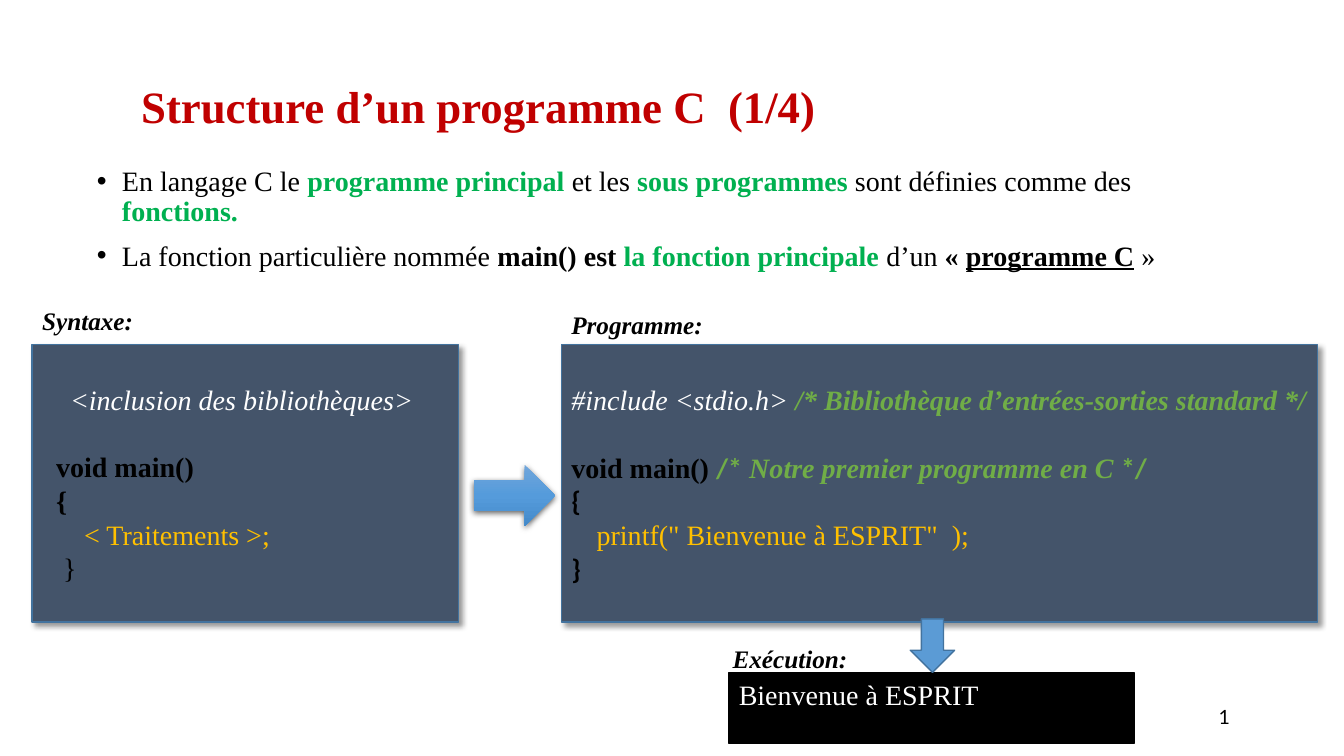
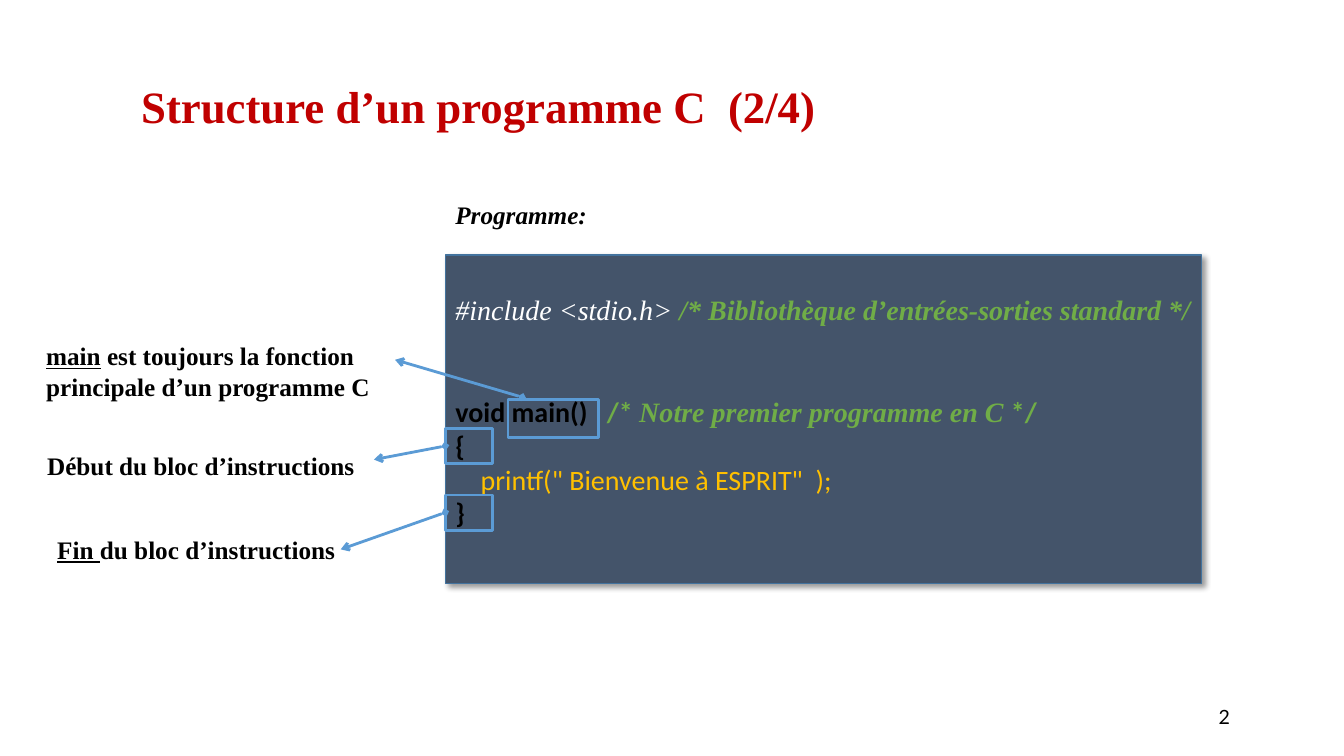
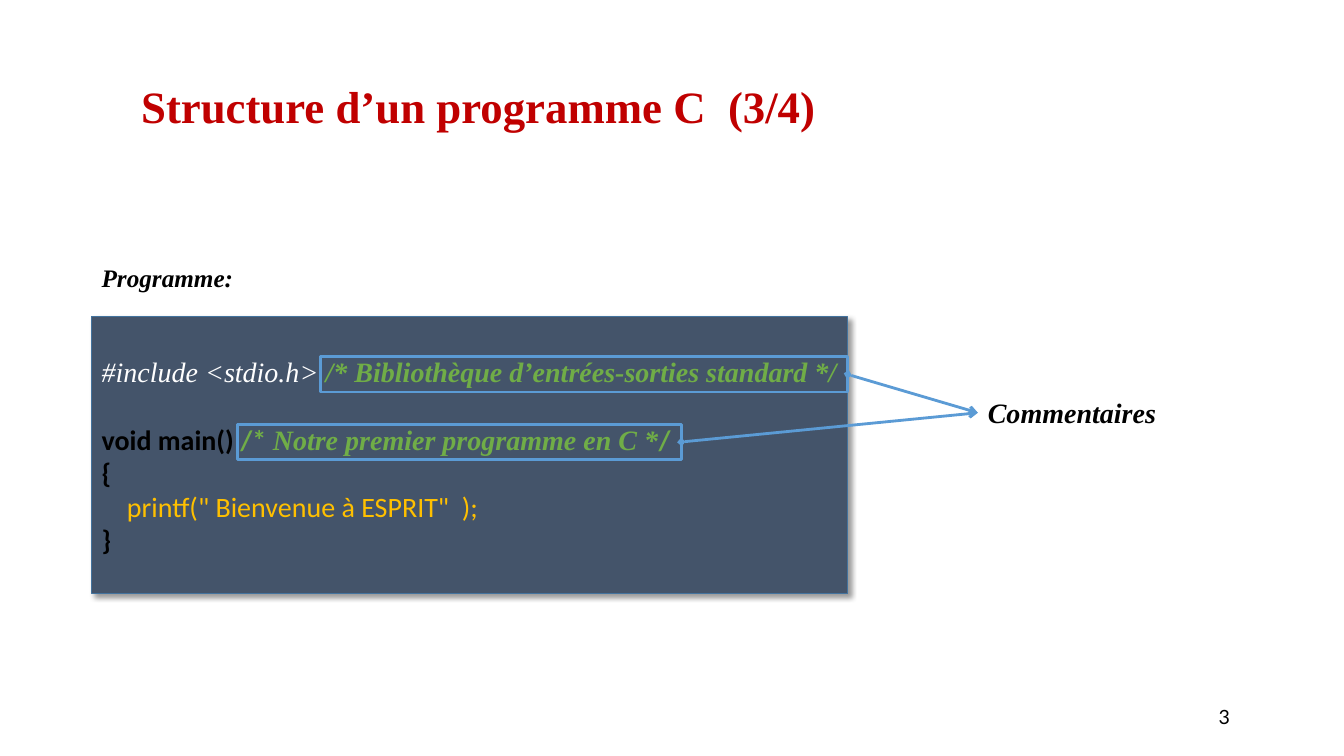
"""Build three slides on the structure of a C program."""
from copy import deepcopy
from dataclasses import dataclass

from lxml import etree
from pptx import Presentation
from pptx.dml.color import RGBColor
from pptx.enum import shapes, text
from pptx.oxml.ns import qn
from pptx.util import Pt

BLACK = RGBColor(0x00, 0x00, 0x00)
WHITE = RGBColor(0xFF, 0xFF, 0xFF)
RED = RGBColor(0xC0, 0x00, 0x00)
KEYWORD = RGBColor(0x00, 0xB0, 0x50)
COMMENT = RGBColor(0x70, 0xAD, 0x47)
AMBER = RGBColor(0xFF, 0xC0, 0x00)
SLATE = RGBColor(0x44, 0x54, 0x6A)
BLUE = RGBColor(0x5B, 0x9B, 0xD5)
BORDER = RGBColor(0x43, 0x73, 0x9E)
ARROW_STOPS = [
    (0, RGBColor(0x71, 0xA6, 0xDB)),
    (0.5, RGBColor(0x55, 0x9B, 0xDB)),
    (1, RGBColor(0x44, 0x8A, 0xCA)),
]
SERIF, SANS, NUMBER = "Times New Roman", "Calibri", "Lato"
CODE_LINE = 24.4
PANEL_W = 540
LABEL_W, LABEL_H = 110, 28.8
MARK_H = 25.2


@dataclass
class Run:
    """A piece of text; flags hold b, i and u."""
    text: str
    color: RGBColor = BLACK
    flags: str = ""
    font: str = SERIF


INCLUDE = [
    Run("#include <stdio.h> ", WHITE, "i"),
    Run("/* Bibliothèque d’entrées-sorties standard */", COMMENT, "bi"),
]


def style(font, run):
    """Apply the look of a run to a font."""
    font.name = run.font
    font.color.rgb = run.color
    font.bold = "b" in run.flags
    font.italic = "i" in run.flags
    font.underline = "u" in run.flags


def write(p, size, runs):
    """Fill a paragraph with runs."""
    p.font.size = Pt(size)
    for run in runs:
        r = p.add_run()
        r.text = run.text
        style(p.font if len(runs) == 1 else r.font, run)


def place(sp, x, y, w, h):
    """Move and size a shape."""
    sp.left, sp.top, sp.width, sp.height = Pt(x), Pt(y), Pt(w), Pt(h)


def add_title_slide(prs, layout, part):
    """Add a slide with its title and slide number."""
    s = prs.slides.add_slide(prs.slide_layouts[layout])
    sp = s.shapes.title
    place(sp, 93.6, 48.2, 648, 59.8)
    tf = sp.text_frame
    tf.auto_size = text.MSO_AUTO_SIZE.NONE
    tf.vertical_anchor = text.MSO_ANCHOR.MIDDLE
    p = tf.paragraphs[0]
    p.alignment = text.PP_ALIGN.LEFT
    p.line_spacing = 0.9
    write(p, 32, [Run(f"Structure d’un programme C  ({part}/4)", RED, "b")])
    add_number(s, part)
    return s


def add_number(s, number):
    """Add the slide number field."""
    tf = s.shapes.add_textbox(Pt(863.3), Pt(493.9), Pt(77.8), Pt(36)).text_frame
    tf.word_wrap = True
    tf.vertical_anchor = text.MSO_ANCHOR.MIDDLE
    p = tf.paragraphs[0]
    write(p, 14, [Run(str(number), font=NUMBER)])
    r = p.runs[0]
    style(r.font, Run("", font=NUMBER))
    r.font.size = Pt(14)
    field = r._r
    field.tag = qn("a:fld")
    field.set("id", "{B6F15528-21DE-4FAA-801E-634DDDAF4B2B}")
    field.set("type", "slidenum")


def add_bullets(s, items):
    """Fill the body placeholder with a bulleted list."""
    sp = s.placeholders[1]
    place(sp, 61.9, 115.9, 826.6, 106.6)
    tf = sp.text_frame
    tf.auto_size = text.MSO_AUTO_SIZE.NONE
    for i, runs in enumerate(items):
        p = tf.add_paragraph() if i else tf.paragraphs[0]
        pPr = p._p.get_or_add_pPr()
        pPr.set("marL", str(Pt(18)))
        pPr.set("indent", str(-Pt(18)))
        p.line_spacing = 0.9
        p.space_before = Pt(10 if i else 0)
        write(p, 20, runs)


def add_text(s, x, y, w, runs, h=LABEL_H, size=18):
    """Add a text box of one paragraph."""
    sp = s.shapes.add_textbox(Pt(x), Pt(y), Pt(w), Pt(h))
    sp.text_frame.word_wrap = True
    write(sp.text_frame.paragraphs[0], size, runs)
    return sp


def add_label(s, x, y, caption):
    """Add a bold italic caption."""
    add_text(s, x, y, LABEL_W, [Run(caption, flags="bi")])


def add_box(s, x, y, w, h, fill=None, line=None, width=1,
            kind=shapes.MSO_SHAPE.RECTANGLE):
    """Add a preset shape with plain fill and line."""
    sp = s.shapes.add_shape(kind, Pt(x), Pt(y), Pt(w), Pt(h))
    sp.shadow.inherit = False
    if fill is None:
        sp.fill.background()
    else:
        sp.fill.solid()
        sp.fill.fore_color.rgb = fill
    if line is None:
        sp.line.fill.background()
    else:
        sp.line.color.rgb = line
        sp.line.width = Pt(width)
    return sp


def add_shadow(sp, alpha, blur, dist, angle):
    """Give a shape a black outer shadow."""
    effects = sp.element.spPr.find(qn("a:effectLst"))
    shadow = etree.SubElement(
        effects, qn("a:outerShdw"), blurRad=str(Pt(blur)), dist=str(Pt(dist)),
        dir=str(angle * 60000), algn="ctr", rotWithShape="0")
    color = etree.SubElement(shadow, qn("a:srgbClr"), val=str(BLACK))
    etree.SubElement(color, qn("a:alpha"), val=str(alpha * 1000))


def write_lines(sp, lines, gap=0):
    """Write left-aligned code lines, with a gap below the first."""
    tf = sp.text_frame
    tf.word_wrap = True
    for i, runs in enumerate(lines):
        p = tf.add_paragraph() if i else tf.paragraphs[0]
        p.alignment = text.PP_ALIGN.LEFT
        if i == 1:
            p.space_before = Pt(gap)
        write(p, 20, runs)
    return tf


def add_panel(s, x, y, w, h, lines, gap=CODE_LINE):
    """Add a shadowed slate panel of code."""
    sp = add_box(s, x, y, w, h, SLATE, BORDER)
    add_shadow(sp, 40, 4, 3, 45)
    tf = write_lines(sp, lines, gap)
    tf.vertical_anchor = text.MSO_ANCHOR.MIDDLE
    return tf


def add_program(s, x, y, h, main_line, printf_font=SANS, gap=CODE_LINE):
    """Add the sample program below one line of space."""
    tf = add_panel(s, x, y, PANEL_W, h, [
        INCLUDE,
        main_line,
        [Run("{", flags="b", font=SANS)],
        [Run("    ", WHITE, font=SANS),
         Run('printf(" Bienvenue à ESPRIT"  );', AMBER, font=printf_font)],
        [Run("}", flags="b", font=SANS)],
    ], gap)
    tf.vertical_anchor = text.MSO_ANCHOR.TOP
    tf.margin_top = Pt(27)


def add_gradient_arrow(s, x, y, w, h):
    """Add a right arrow with a vertical gradient."""
    sp = add_box(s, x, y, w, h, BLUE, kind=shapes.MSO_SHAPE.RIGHT_ARROW)
    sp.fill.gradient()
    sp.fill.gradient_angle = 270
    stops = sp.element.spPr.find(".//" + qn("a:gsLst"))
    stops.append(deepcopy(stops[-1]))
    for stop, (position, color) in zip(sp.fill.gradient_stops, ARROW_STOPS):
        stop.position = position
        stop.color.rgb = color
    add_shadow(sp, 63, 4.5, 1.5, 90)


def add_mark(s, x, y, w, h=MARK_H):
    """Add a hollow frame around a piece of code."""
    return add_box(s, x, y, w, h, line=BLUE, width=2)


def add_pointer(s, start, end):
    """Draw an arrow between points or (shape, side) pairs."""
    c = s.shapes.add_connector(shapes.MSO_CONNECTOR.STRAIGHT, 0, 0, 0, 0)
    if isinstance(start[0], (int, float)):
        c.begin_x, c.begin_y = Pt(start[0]), Pt(start[1])
    else:
        c.begin_connect(*start)
    if isinstance(end[0], (int, float)):
        c.end_x, c.end_y = Pt(end[0]), Pt(end[1])
    else:
        c.end_connect(*end)
    c.line.color.rgb = BLUE
    c.line.width = Pt(2)
    spPr = c.element.spPr
    ln = spPr.find(qn("a:ln"))
    etree.SubElement(ln, qn("a:headEnd"), type="diamond")
    etree.SubElement(ln, qn("a:tailEnd"), type="arrow")
    etree.SubElement(spPr, qn("a:effectLst"))


def build_overview(prs):
    """Slide 1: syntax, program and execution."""
    s = add_title_slide(prs, 1, 1)
    add_bullets(s, [
        [Run("En langage C le "), Run("programme principal ", KEYWORD, "b"),
         Run("et les "), Run("sous programmes ", KEYWORD, "b"),
         Run("sont définies comme des "), Run("fonctions.", KEYWORD, "b")],
        [Run("La fonction particulière nommée "), Run("main() est ", flags="b"),
         Run("la fonction principale ", KEYWORD, "b"), Run("d’un"),
         Run(" « ", flags="b"), Run("programme C", flags="bu"), Run(" »")],
    ])
    add_panel(s, 23, 246.2, 304.6, 198, [
        [Run("    <inclusion des bibliothèques>", WHITE, "i")],
        [Run("  void main()", flags="b")],
        [Run("  {", flags="b")],
        [Run("      < Traitements >;", AMBER)],
        [Run("   }")],
    ])
    add_gradient_arrow(s, 338.4, 331.9, 58.3, 43.9)
    add_program(s, 401, 246.2, 198, [
        Run("void main() ", flags="b"),
        Run("/*", COMMENT, "b", SANS),
        Run(" Notre premier programme en C ", COMMENT, "bi"),
        Run("*/", COMMENT, "b", SANS),
    ], SERIF)
    add_label(s, 23, 214.6, "Syntaxe:")
    add_label(s, 401, 217.4, "Programme:")
    console = add_box(s, 520.6, 480.2, 289.4, 51.1, BLACK, BLACK)
    tf = write_lines(console, [[Run("Bienvenue à ESPRIT", WHITE)]])
    tf.vertical_anchor = text.MSO_ANCHOR.TOP
    add_box(s, 650.2, 442.1, 31.7, 38.2, BLUE, BORDER,
            kind=shapes.MSO_SHAPE.DOWN_ARROW)
    add_label(s, 516.2, 455.8, "Exécution:")


def build_main_block(prs):
    """Slide 2: the main function and its braces."""
    s = add_title_slide(prs, 5, 2)
    add_program(s, 318.2, 182.2, 234.7, [
        Run("void main()   ", flags="b", font=SANS),
        Run("/* ", COMMENT, "b", SANS),
        Run("Notre premier programme en C ", COMMENT, "bi"),
        Run("*/", COMMENT, "b", SANS),
    ], gap=2 * CODE_LINE)
    add_label(s, 318.2, 139, "Programme:")
    add_mark(s, 362.9, 285.1, 64.8, 27.4)
    add_pointer(s, (373, 283.7), (282.2, 257))
    for y, end in ((306, (267.1, 328.3)), (353.5, (243.4, 392.4))):
        add_pointer(s, (add_mark(s, 318, y, 33.8), 1), end)
    add_text(s, 25.9, 239.8, 260.6, [
        Run("main", flags="bu"),
        Run(" est toujours la fonction principale d’un programme C", flags="b"),
    ], 51.1)
    add_text(s, 26.6, 318.2, 241.2,
             [Run("Début du bloc d’instructions", flags="b")])
    add_text(s, 33.8, 378, 223.9, [
        Run("Fin ", flags="bu"), Run("du bloc d’instructions", flags="b")])


def build_comments(prs):
    """Slide 3: the comments of the program."""
    s = add_title_slide(prs, 5, 3)
    add_program(s, 65.5, 226.1, 198, [
        Run("void main() ", flags="b", font=SANS),
        Run("/* ", COMMENT, "b", SANS),
        Run("Notre premier programme en C *", COMMENT, "bi"),
        Run("/", COMMENT, "b", SANS),
    ])
    add_label(s, 65.5, 183.6, "Programme:")
    note = add_text(s, 698.5, 279, 139.7, [Run("Commentaires", flags="bi")],
                    31.7, 20)
    for x, y, w in ((229, 254.9, 376.6), (169.9, 303.1, 316.8)):
        add_pointer(s, (add_mark(s, x, y, w), 3), (note, 1))


def main():
    """Build and save the presentation."""
    prs = Presentation()
    prs.slide_width, prs.slide_height = Pt(960), Pt(540)
    build_overview(prs)
    build_main_block(prs)
    build_comments(prs)
    prs.save("out.pptx")


if __name__ == "__main__":
    main()
